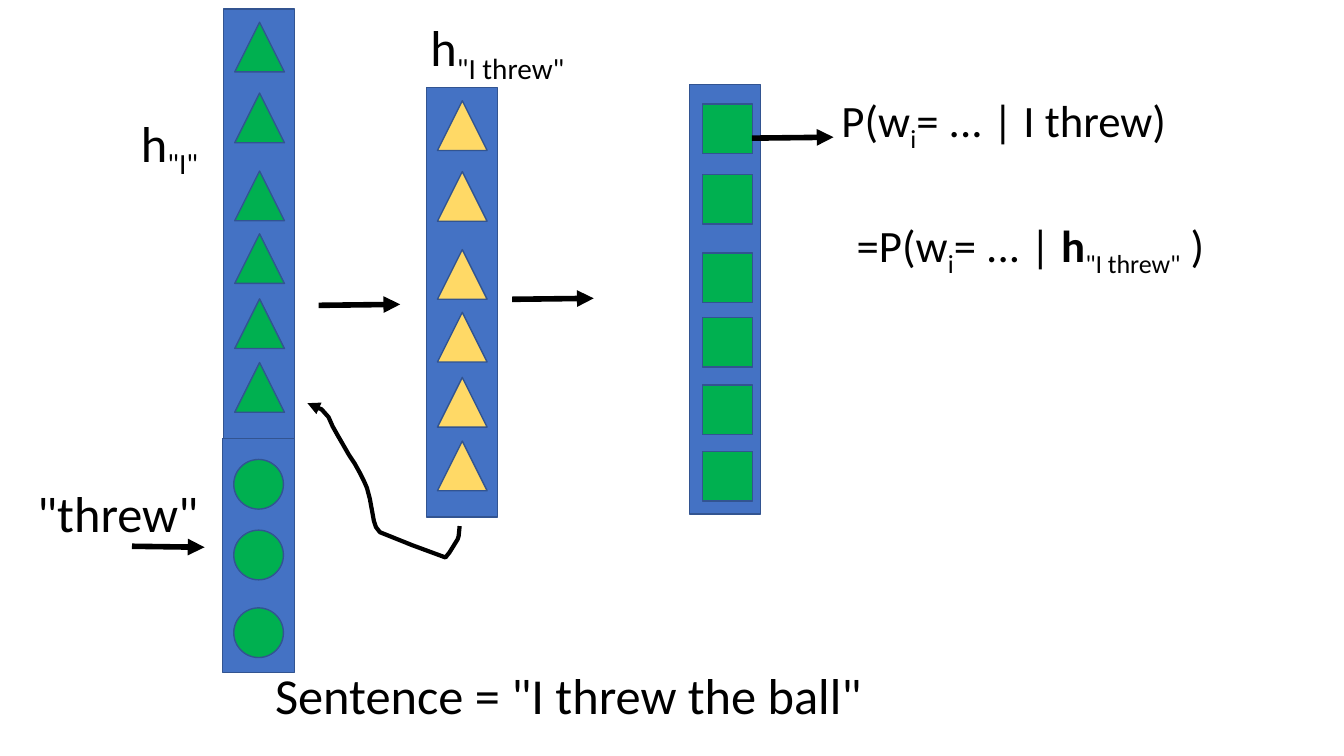
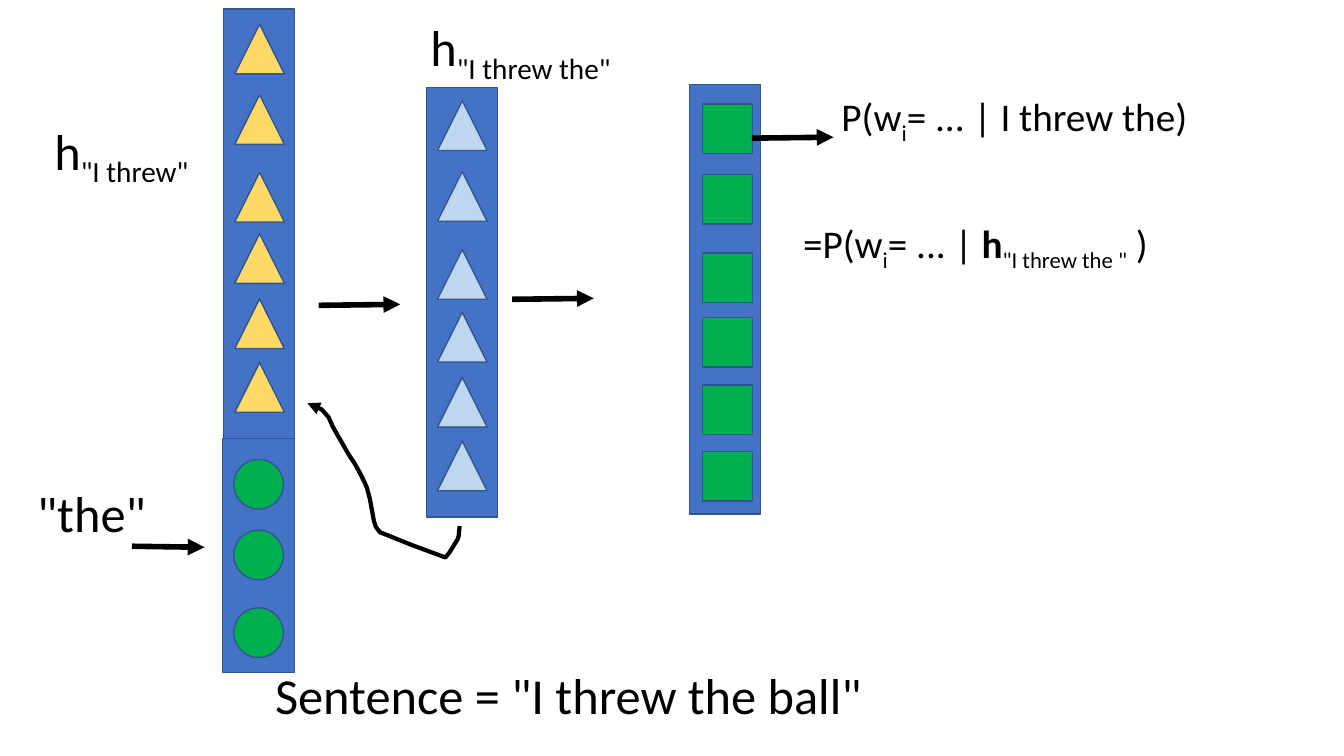
from lxml import etree
from pptx import Presentation
from pptx.dml.color import RGBColor
from pptx.enum import shapes as kinds, text as modes
from pptx.oxml import ns
from pptx.util import Pt

FONT = "Calibri"
BLUE, OUTLINE, BLACK = "4472C4", "325491", "000000"
GREEN, YELLOW, PALE_BLUE = "00B050", "FFD966", "BDD7EE"
RECTANGLE = kinds.MSO_SHAPE.RECTANGLE
TRIANGLE = kinds.MSO_SHAPE.ISOSCELES_TRIANGLE
OVAL = kinds.MSO_SHAPE.OVAL

COLUMN_WIDTH, COLUMN_HEIGHT, UNIT_SIZE = 50.6, 306.7, 35.5
STATE_TOPS = [9.4, 60, 115.7, 160.5, 207, 252.5]
LOWERED_STATE_TOPS = [10.8, 61.2, 116.6, 160.5, 207, 252.5]
OUTPUT_TOPS = [13.7, 64, 120.2, 166.3, 214.6, 262]
WORD_TOPS = [15, 65.5, 121]
FEEDBACK_POINTS = [
    (108.7, 87.8), (108, 95), (107.3, 97.2), (101.5, 106.6), (98.6, 110.2),
    (75, 101.5), (51.8, 92.2), (49, 88.6), (47.5, 84.2), (44.6, 68.4),
    (42.5, 60.5), (40.3, 55.4), (37.4, 49.7), (33.8, 43.2), (29.5, 36.7),
    (24.5, 28), (21.6, 23), (18, 16.6), (15.1, 10), (10, 4.3), (5.8, 2.9), (0, 0),
]

STEPS = [
    {
        "word": '"threw"', "word_width": 131,
        "previous": '"I"', "previous_box": (93.6, 76.3, 59),
        "previous_color": GREEN, "previous_tops": STATE_TOPS,
        "current": '"I threw"', "current_width": 123.1, "current_color": YELLOW,
        "history": "I threw", "condition": '"I threw"', "formula_size": 32,
        "condition_box": (604.8, 151.9, 274.3),
    },
    {
        "word": '"the"', "word_width": 92.9,
        "previous": '"I threw"', "previous_box": (31.7, 82.1, 123.1),
        "previous_color": YELLOW, "previous_tops": LOWERED_STATE_TOPS,
        "current": '"I threw the"', "current_width": 161.3, "current_color": PALE_BLUE,
        "history": "I threw the", "condition": '"I threw the "', "formula_size": 28,
        "condition_box": (566.6, 153.4, 307.4),
    },
]


def color(value):
    """Turn a hex string into a colour."""
    return RGBColor.from_string(value)


def add_block(shapes, kind, left, top, width, height, fill):
    """Add one outlined, filled shape."""
    shape = shapes.add_shape(kind, Pt(left), Pt(top), Pt(width), Pt(height))
    shape.shadow.inherit = False
    shape.fill.solid()
    shape.fill.fore_color.rgb = color(fill)
    shape.line.color.rgb = color(OUTLINE)
    shape.line.width = Pt(1)


def draw_column(shapes, box, kind, fill, tops, inset=7.9):
    """Draw a vector as a column of units inside its box."""
    left, top, width, height = box
    add_block(shapes, RECTANGLE, left, top, width, height, BLUE)
    for unit_top in tops:
        add_block(shapes, kind, left + inset, top + unit_top, UNIT_SIZE, UNIT_SIZE, fill)


def add_label(slide, box, parts, size=36, wrap=False):
    """Write a label from (text, style) parts."""
    left, top, width = box
    label = slide.shapes.add_textbox(Pt(left), Pt(top), Pt(width), Pt(size * 1.2 + 7.2))
    frame = label.text_frame
    frame.word_wrap = wrap
    frame.auto_size = modes.MSO_AUTO_SIZE.SHAPE_TO_FIT_TEXT
    for content, style in parts:
        run = frame.paragraphs[0].add_run()
        run.text = content
        run.font.name = FONT
        run.font.size = Pt(size)
        run.font.color.rgb = color(BLACK)
        if style == "bold":
            run.font.bold = True
        elif style == "sub":
            run._r.get_or_add_rPr().set("baseline", "-25000")


def style_arrow(shape, width):
    """Give a line its colour, width and arrowhead."""
    shape.line.color.rgb = color(BLACK)
    shape.line.width = Pt(width)
    etree.SubElement(shape.get_or_add_ln(), ns.qn("a:tailEnd"), type="triangle")


def add_arrow(slide, left, top, length, rise):
    """Add a nearly level arrow pointing right."""
    arrow = slide.shapes.add_connector(
        kinds.MSO_CONNECTOR.STRAIGHT, Pt(left), Pt(top), Pt(left + length), Pt(top - rise))
    style_arrow(arrow, 4)
    etree.SubElement(arrow._element.spPr, ns.qn("a:effectLst"))


def draw_feedback(slide, left, top):
    """Draw the curve that carries the new state back to the input."""
    points = [(Pt(x), Pt(y)) for x, y in FEEDBACK_POINTS]
    builder = slide.shapes.build_freeform(*points[0])
    builder.add_line_segments(points[1:], close=False)
    curve = builder.convert_to_shape(Pt(left), Pt(top))
    curve.shadow.inherit = False
    curve.fill.background()
    style_arrow(curve, 3)


def draw_input(slide, step, left, top):
    """Draw the previous state stacked on the current word."""
    word_top = top + COLUMN_HEIGHT
    word_group = slide.shapes.add_group_shape()
    draw_column(word_group.shapes, (left - 0.7, word_top, 51.3, 167), OVAL, GREEN, WORD_TOPS)
    state_group = slide.shapes.add_group_shape()
    draw_column(state_group.shapes, (left, top, COLUMN_WIDTH, COLUMN_HEIGHT),
                TRIANGLE, step["previous_color"], step["previous_tops"])
    add_label(slide, (left - 140.4, word_top + 27.4, step["word_width"]), [(step["word"], "")])
    add_arrow(slide, left - 65.5, word_top + 77, 51.8, -0.7)
    add_label(slide, step["previous_box"], [("h", ""), (step["previous"], "sub")])


def draw_hidden(slide, step, left, top):
    """Draw the new hidden state with its label and arrows."""
    draw_column(slide.shapes, (left, top, COLUMN_WIDTH, COLUMN_HEIGHT),
                TRIANGLE, step["current_color"], STATE_TOPS)
    add_label(slide, (left - 4.3, top - 54.7, step["current_width"]),
              [("h", ""), (step["current"], "sub")])
    add_arrow(slide, left - 77, top + 155.5, 58.3, 0.7)
    add_arrow(slide, left + 61.2, top + 151.2, 58.3, 0.7)


def draw_output(slide, step, left, top):
    """Draw the output vector and the probabilities it gives."""
    draw_column(slide.shapes, (left, top, COLUMN_WIDTH, COLUMN_HEIGHT),
                RECTANGLE, GREEN, OUTPUT_TOPS, inset=9.4)
    add_arrow(slide, left + 44.6, top + 38.2, 58.3, 0.7)
    size = step["formula_size"]
    add_label(slide, (left + 101.5, top + 2.1, 266.4),
              [("P(w", ""), ("i", "sub"), (f"= ... | {step['history']})", "")], size, True)
    add_label(slide, step["condition_box"],
              [("=P(w", ""), ("i", "sub"), ("= ... | ", ""), ("h", "bold"),
               (step["condition"], "sub"), (" )", "")], size, True)


def build_step(presentation, step):
    """Build the slide for one step of the network."""
    slide = presentation.slides.add_slide(presentation.slide_layouts[6])
    draw_input(slide, step, 159.8, 6.5)
    draw_hidden(slide, step, 304.6, 62.6)
    draw_output(slide, step, 492.5, 60.5)
    draw_feedback(slide, 219.6, 288)
    add_label(slide, (189.4, 470.9, 437), [('Sentence = "I threw the ball"', "")])


def main():
    """Build and save the presentation."""
    presentation = Presentation()
    presentation.slide_width, presentation.slide_height = Pt(960), Pt(540)
    for step in STEPS:
        build_step(presentation, step)
    presentation.save("out.pptx")


if __name__ == "__main__":
    main()
